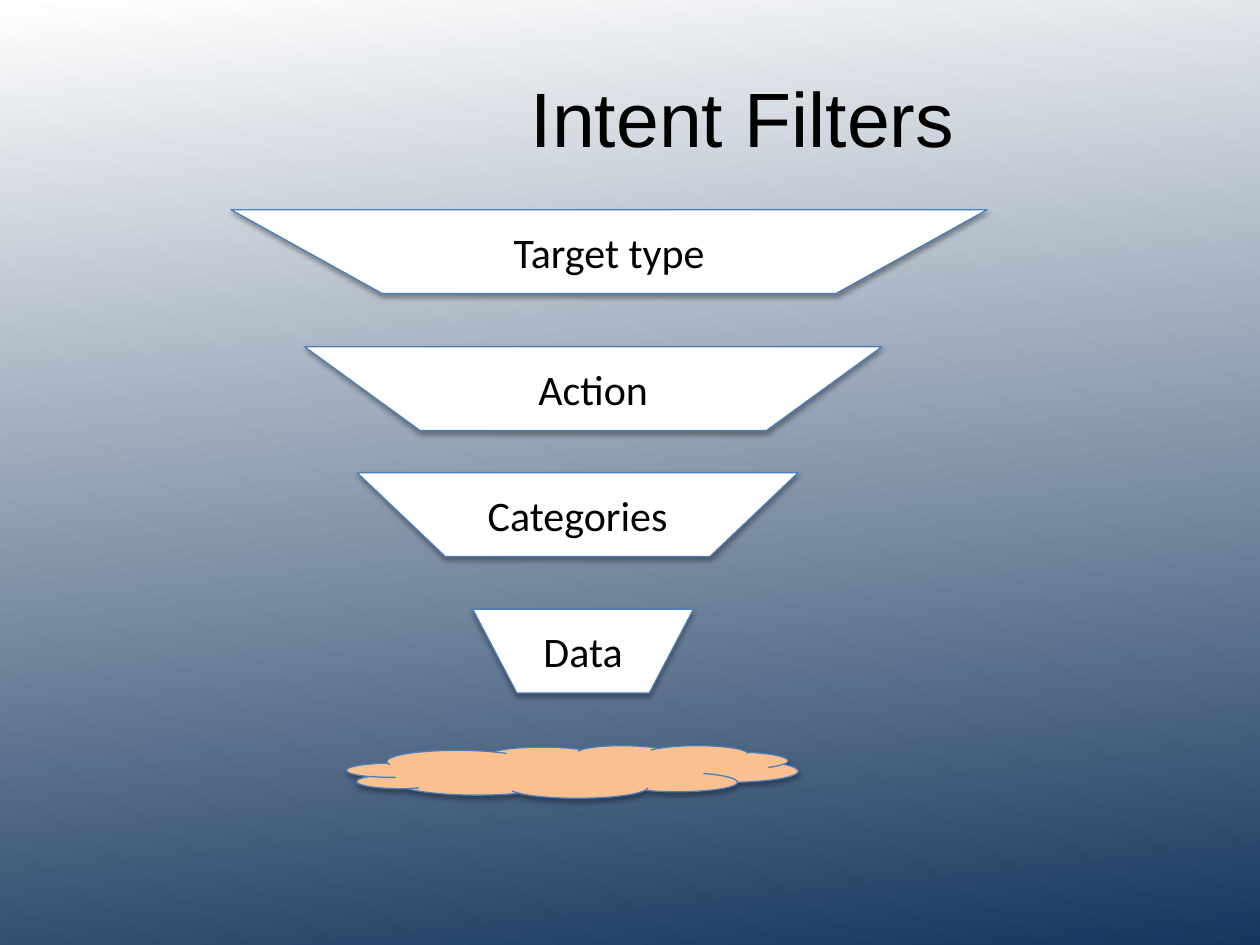
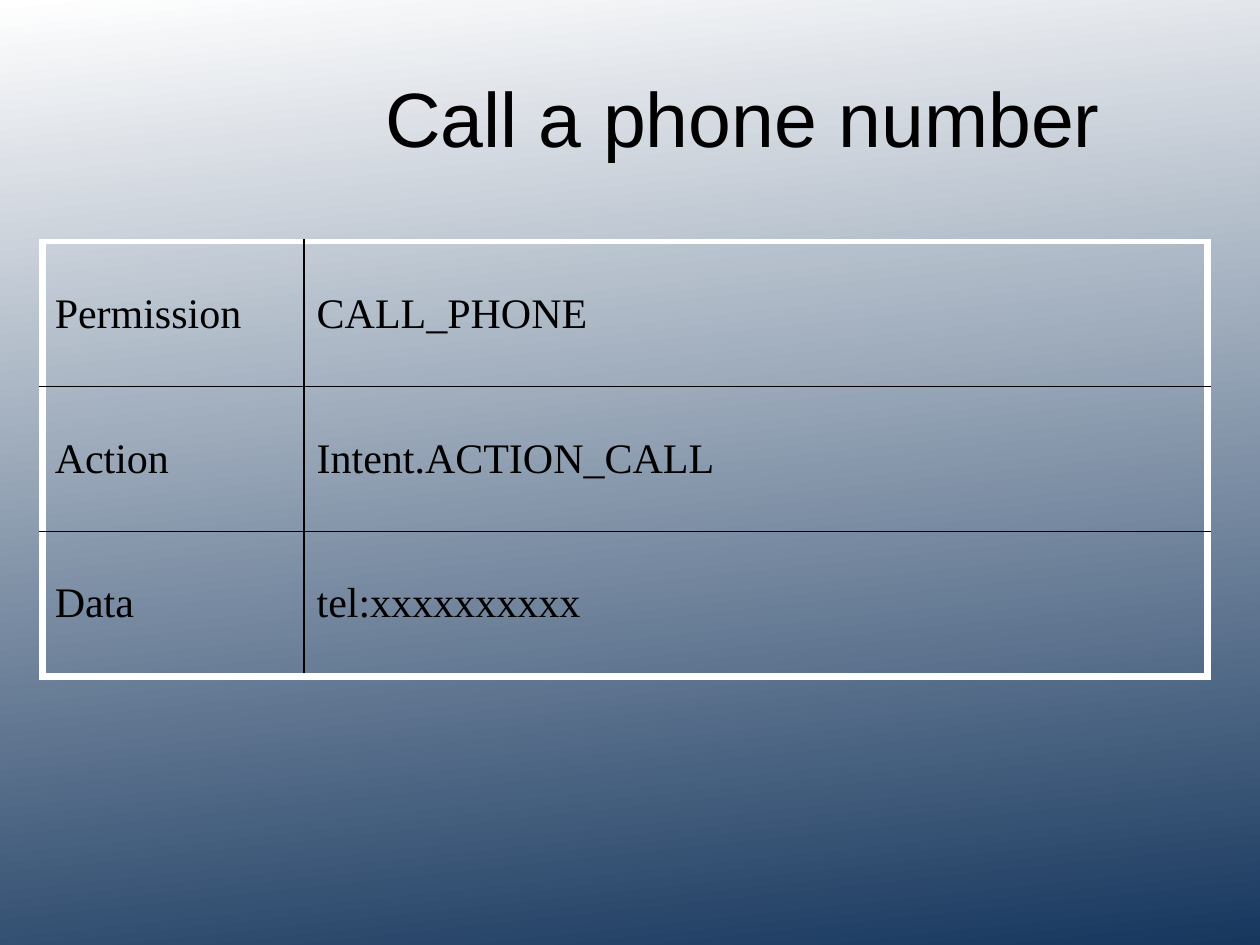
from dataclasses import dataclass

from lxml.etree import SubElement
from pptx import Presentation
from pptx.dml.color import RGBColor
from pptx.enum.shapes import MSO_SHAPE
from pptx.enum.text import MSO_ANCHOR, PP_ALIGN
from pptx.oxml.ns import qn
from pptx.util import Cm, Pt


@dataclass
class Theme:
    navy: str = "17375E"
    white: str = "FFFFFF"
    black: str = "000000"
    edge: str = "4B7EBC"
    peach: str = "FAC090"
    head: int = 44
    body: int = 24


theme = Theme()


def style(para, face, size, align=None):
    para.alignment = align
    para.font.name = face
    para.font.size = Pt(size)
    para.font.color.rgb = RGBColor.from_string(theme.black)


def add_border(props, side, color, width):
    line = SubElement(props, qn(f"a:ln{side}"), w=str(Pt(width)))
    fill = SubElement(line, qn("a:solidFill"))
    SubElement(fill, qn("a:srgbClr"), val=color)


prs = Presentation()
prs.slide_width, prs.slide_height = Cm(25.4), Cm(19.05)

back = prs.slide_master.background.fill
back.gradient()
back.gradient_angle = 96
for stop, color, place in zip(back.gradient_stops, (theme.navy, theme.white), (0, 1)):
    stop.color.rgb = RGBColor.from_string(color)
    stop.position = place

slides = []
for text in ("Intent Filters", "Call a phone number"):
    slide = prs.slides.add_slide(prs.slide_layouts[5])
    title = slide.shapes.title
    title.left, title.top = Cm(5.82), Cm(0.76)
    title.width, title.height = Cm(18.31), Cm(3.18)
    title.text_frame.text = text
    title.text_frame.vertical_anchor = MSO_ANCHOR.MIDDLE
    style(title.text_frame.paragraphs[0], "Arial", theme.head, PP_ALIGN.CENTER)
    slides.append(slide)
funnel, call = slides

sieve = MSO_SHAPE.FLOWCHART_MANUAL_OPERATION
stages = [
    ("Target type", sieve, 4.66, 4.23, 15.24, 1.69, theme.white),
    ("Action", sieve, 6.14, 6.99, 11.64, 1.69, theme.white),
    ("Categories", sieve, 7.2, 9.53, 8.89, 1.69, theme.white),
    ("Data", sieve, 9.53, 12.28, 4.45, 1.69, theme.white),
    ("", MSO_SHAPE.CLOUD, 6.99, 15.03, 9.1, 1.06, theme.peach),
]
for text, kind, left, top, width, height, color in stages:
    shape = funnel.shapes.add_shape(kind, Cm(left), Cm(top), Cm(width), Cm(height))
    shape.fill.solid()
    shape.fill.fore_color.rgb = RGBColor.from_string(color)
    shape.line.color.rgb = RGBColor.from_string(theme.edge)
    shape.line.width = Pt(0.75)
    shape.shadow.inherit = False
    glow = SubElement(
        shape._element.spPr.find(qn("a:effectLst")), qn("a:outerShdw"),
        blurRad=str(Pt(3.1)), dist=str(Pt(1.8)), dir="5400000", rotWithShape="0",
    )
    shade = SubElement(glow, qn("a:srgbClr"), val=theme.black)
    SubElement(shade, qn("a:alpha"), val="35000")
    if text:
        shape.text_frame.text = text
        shape.text_frame.vertical_anchor = MSO_ANCHOR.MIDDLE
        style(shape.text_frame.paragraphs[0], "Calibri", theme.body, PP_ALIGN.CENTER)

rows = [
    ("Permission", "CALL_PHONE"),
    ("Action", "Intent.ACTION_CALL"),
    ("Data", "tel:xxxxxxxxxx"),
]
frame = call.shapes.add_table(3, 2, Cm(0.85), Cm(4.87), Cm(23.49), Cm(8.76))
table = frame.table
table.first_row = table.horz_banding = False
for column, width in zip(table.columns, (5.28, 18.21)):
    column.width = Cm(width)

inner = (theme.black, 1)
outer = (theme.white, 4.5)
upper = (theme.white, 3)
for i, row in enumerate(rows):
    table.rows[i].height = Cm(2.92)
    for j, text in enumerate(row):
        cell = table.cell(i, j)
        cell.text = text
        cell.vertical_anchor = MSO_ANCHOR.MIDDLE
        style(cell.text_frame.paragraphs[0], "Times New Roman", theme.body)
        props = cell._tc.get_or_add_tcPr()
        add_border(props, "L", *(outer if j == 0 else inner))
        add_border(props, "R", *(outer if j == 1 else inner))
        add_border(props, "T", *(upper if i == 0 else inner))
        add_border(props, "B", *(outer if i == 2 else inner))
        cell.fill.background()

prs.save("out.pptx")
